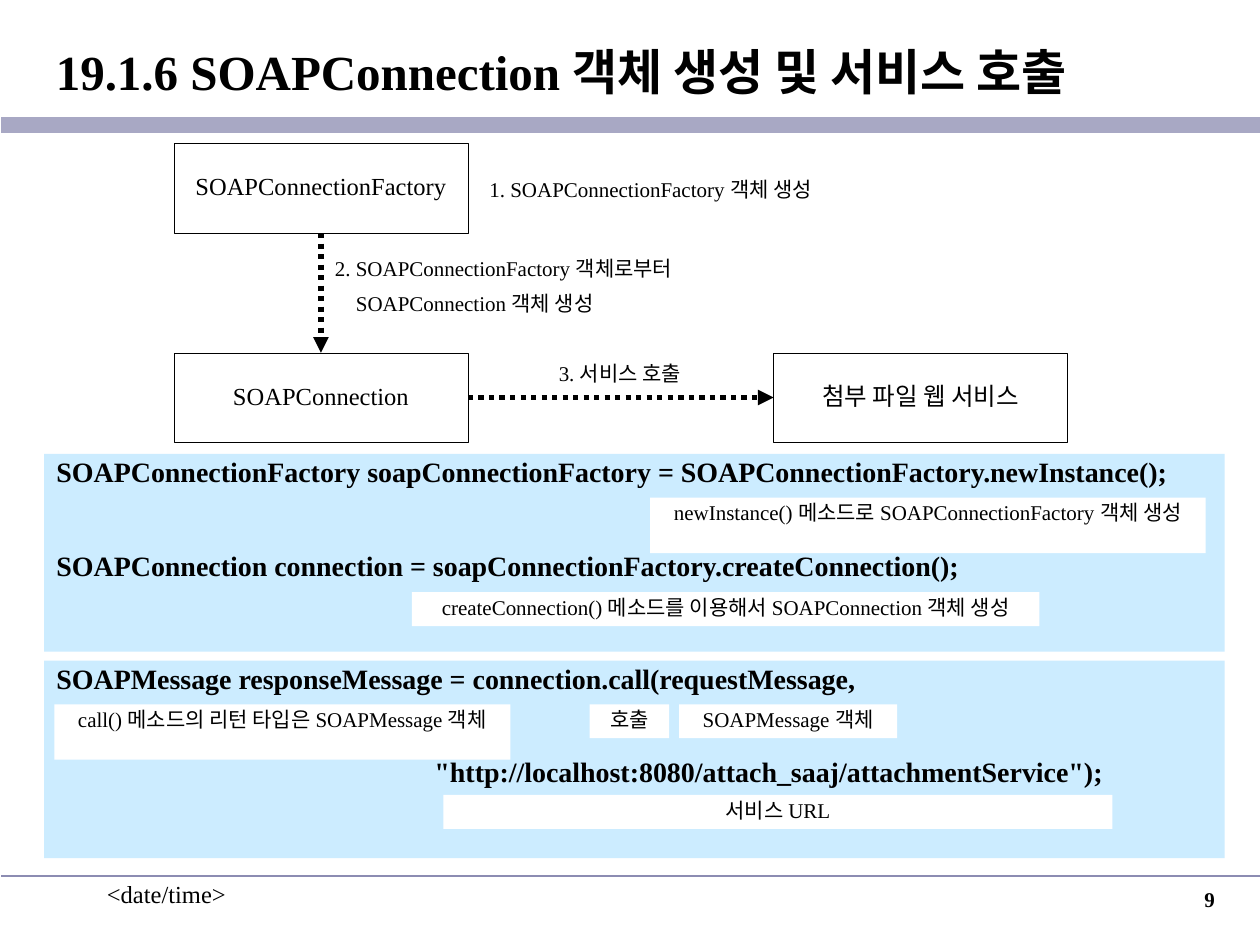
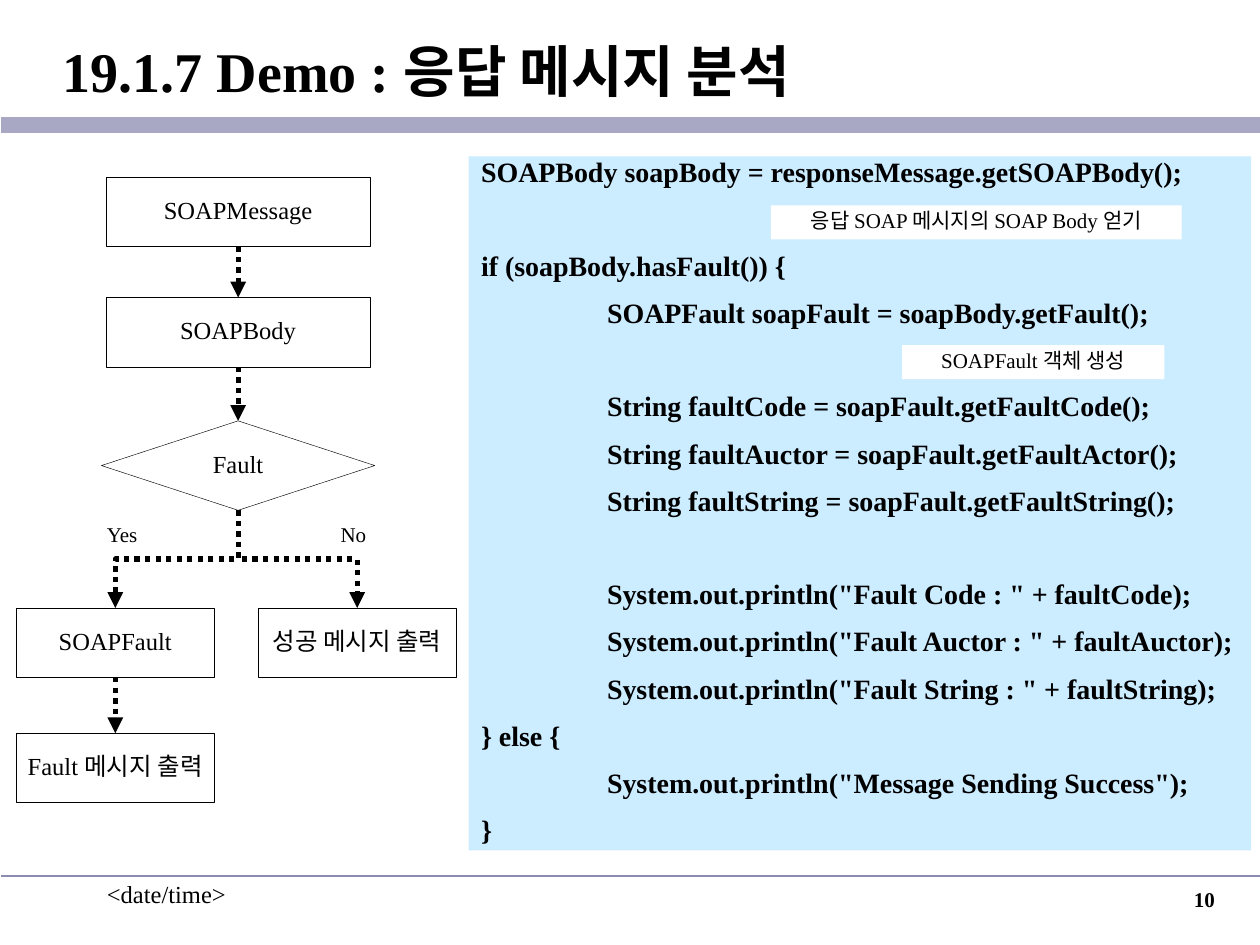
from dataclasses import dataclass

from lxml import etree
from pptx import Presentation
from pptx.dml.color import RGBColor
from pptx.enum.dml import MSO_LINE
from pptx.enum.shapes import MSO_CONNECTOR as Connector, MSO_SHAPE as Preset
from pptx.enum.text import MSO_ANCHOR as Anchor, MSO_AUTO_SIZE as AutoSize, PP_ALIGN as Align
from pptx.oxml.ns import qn
from pptx.util import Pt


@dataclass(frozen=True)
class Theme:
    font: str = "Times New Roman"
    ink: str = "000000"
    paper: str = "FFFFFF"
    panel: str = "CCECFF"
    band: str = "A8A8C4"
    rule: str = "8C8CB2"
    node_size: float = 14
    note_size: float = 12
    code_size: float = 16
    line_spacing: float = 0.85
    note_gap: float = 7.5
    code_gap: float = 10.7
    code_pitch: float = 26.34
    tab: float = 72


THEME = Theme()
SLIDE_WIDTH, SLIDE_HEIGHT = 720, 540
TITLE_BOX = (0.7, 7.9, 719.3, 64.8)
DATE_BOX = (54, 499, 149.8, 36)
NUMBER_BOX = (551.5, 503.3, 149.8, 36)
BAND_Y, FOOTER_Y = 71.3, 500.4
NODE, SMALL_NODE, WIDE_NODE = (168, 51.1), (113, 39.6), (151.2, 39.6)
NOTE_HEIGHT, TALL_NOTE = 19.4, 31.7

# Nodes: name -> (text, left, top, size, preset). Notes: (lines, left, top, width, height).
# Lines: text, or (indent in points, text). None leaves one line free.
SLIDES = [
    dict(
        title="19.1.6 SOAPConnection 객체 생성 및 서비스 호출",
        title_size=28, title_inset=31.2, number=9,
        nodes={
            "factory": ("SOAPConnectionFactory", 99.4, 82.1, NODE, Preset.RECTANGLE),
            "connection": ("SOAPConnection", 99.4, 201.6, NODE, Preset.RECTANGLE),
            "service": ("첨부 파일 웹 서비스", 442.1, 201.6, NODE, Preset.RECTANGLE),
        },
        links=[("factory", "connection"), ("connection", "service")],
        panels=[
            ((25.2, 259.4, 674.6, 113), Anchor.TOP, [
                "SOAPConnectionFactory soapConnectionFactory = SOAPConnectionFactory.newInstance();",
                None,
                "SOAPConnection connection = soapConnectionFactory.createConnection();",
            ]),
            ((25.2, 377.5, 674.6, 113), Anchor.TOP, [
                "SOAPMessage responseMessage = connection.call(requestMessage,",
                None,
                (3 * THEME.tab, '"http://localhost:8080/attach_saaj/attachmentService");'),
            ]),
        ],
        steps=[
            (["1. SOAPConnectionFactory 객체 생성"], 269.3, 99.4, 205.2, NOTE_HEIGHT),
            (["2. SOAPConnectionFactory 객체로부터", (12, "SOAPConnection 객체 생성")],
             184.3, 144.7, 213.1, 39.6),
            (["3. 서비스 호출"], 308.9, 204.5, 90.7, NOTE_HEIGHT),
        ],
        notes=[
            (["newInstance() 메소드로 SOAPConnectionFactory 객체 생성"], 371.5, 284.4, 317.5, TALL_NOTE),
            (["createConnection() 메소드를 이용해서 SOAPConnection 객체 생성"],
             235.4, 338.4, 358.6, NOTE_HEIGHT),
            (["call() 메소드의 리턴 타입은 SOAPMessage 객체"], 31, 402.5, 260.6, TALL_NOTE),
            (["호출"], 337, 402.5, 45.4, NOTE_HEIGHT),
            (["SOAPMessage 객체"], 388.1, 402.5, 124.6, NOTE_HEIGHT),
            (["서비스 URL"], 253.4, 454.3, 382.3, NOTE_HEIGHT),
        ],
    ),
    dict(
        title="19.1.7 Demo : 응답 메시지 분석",
        title_size=32, title_inset=35.2, number=10,
        nodes={
            "message": ("SOAPMessage", 60.5, 101.2, WIDE_NODE, Preset.RECTANGLE),
            "body": ("SOAPBody", 60.5, 170, WIDE_NODE, Preset.RECTANGLE),
            "check": ("Fault", 58, 240.5, (156.2, 51.1), Preset.DIAMOND),
            "fault": ("SOAPFault", 9.4, 347.4, SMALL_NODE, Preset.RECTANGLE),
            "success": ("성공 메시지 출력", 147.6, 347.4, SMALL_NODE, Preset.RECTANGLE),
            "report": ("Fault 메시지 출력", 9.4, 419, SMALL_NODE, Preset.RECTANGLE),
        },
        links=[("message", "body"), ("body", "check"), ("check", "fault"),
               ("check", "success"), ("fault", "report")],
        panels=[
            ((267.8, 89.3, 447.1, 396.7), Anchor.MIDDLE, [
                "SOAPBody soapBody = responseMessage.getSOAPBody();",
                None,
                "if (soapBody.hasFault()) {",
                (THEME.tab, "SOAPFault soapFault = soapBody.getFault();"),
                None,
                (THEME.tab, "String faultCode = soapFault.getFaultCode();"),
                (THEME.tab, "String faultAuctor = soapFault.getFaultActor();"),
                (THEME.tab, "String faultString = soapFault.getFaultString();"),
                None,
                (THEME.tab, 'System.out.println("Fault Code : " + faultCode);'),
                (THEME.tab, 'System.out.println("Fault Auctor : " + faultAuctor);'),
                (THEME.tab, 'System.out.println("Fault String : " + faultString);'),
                "} else {",
                (THEME.tab, 'System.out.println("Message Sending Success");'),
                "}",
            ]),
        ],
        steps=[
            (["Yes"], 53.3, 296.6, 33.1, NOTE_HEIGHT),
            (["No"], 187.2, 296.6, 29.5, NOTE_HEIGHT),
        ],
        notes=[
            (["SOAPFault 객체 생성"], 515.5, 197.3, 149.8, NOTE_HEIGHT),
            (["응답 SOAP 메시지의 SOAP Body 얻기"], 440.6, 117.4, 234.7, NOTE_HEIGHT),
        ],
    ),
]


def color(value):
    return RGBColor.from_string(value)


def points(values):
    return [Pt(value) for value in values]


def write(shape, lines, *, size, bold=False, align=Align.LEFT, anchor=Anchor.TOP,
          spacing=1.0, gap=0, pitch=0, inset=7.2):
    """Fill a shape with lines; each None adds one pitch before the next line."""
    centred = align == Align.CENTER
    frame = shape.text_frame
    frame.auto_size = AutoSize.NONE
    frame.word_wrap = not centred
    frame.vertical_anchor = anchor
    frame.margin_left = Pt(inset)
    frame.margin_right = Pt(0 if align == Align.LEFT else 7.2)
    frame.margin_top = frame.margin_bottom = Pt(3.6)
    paragraph, skipped = frame.paragraphs[0], 0
    for index, line in enumerate(lines):
        if line is None:
            skipped += 1
            continue
        indent, text = line if isinstance(line, tuple) else (0, line)
        if index:
            paragraph = frame.add_paragraph()
        paragraph.alignment = align
        paragraph.line_spacing = spacing
        paragraph.space_before = Pt(gap + skipped * pitch if index else 0)
        skipped = 0
        if indent:
            properties = paragraph._p.get_or_add_pPr()
            properties.set("marL", str(Pt(indent)))
            properties.set("indent", "0")
        run = paragraph.add_run()
        run.text = text
        run.font.name = THEME.font
        run.font.size = Pt(size)
        run.font.bold = bold
        run.font.color.rgb = color(THEME.ink)


def add_box(slide, box, *, preset=Preset.RECTANGLE, fill=None, outline=None):
    shape = slide.shapes.add_shape(preset, *points(box))
    shape.shadow.inherit = False
    if fill:
        shape.fill.solid()
        shape.fill.fore_color.rgb = color(fill)
    else:
        shape.fill.background()
    if outline:
        shape.line.color.rgb = color(outline)
        shape.line.width = Pt(0.25)
    else:
        shape.line.fill.background()
    return shape


def add_line(slide, ends, *, ink, width, kind=Connector.STRAIGHT):
    connector = slide.shapes.add_connector(kind, *ends)
    connector.line.color.rgb = color(ink)
    connector.line.width = Pt(width)
    etree.SubElement(connector.element.spPr, qn("a:effectLst"))
    return connector


def add_link(slide, source, target):
    """Join two nodes sideways, straight down, or by a vertical elbow."""
    start_x, end_x = (node.left + node.width // 2 for node in (source, target))
    start_y, end_y = source.top + source.height, target.top
    kind, rotation = Connector.STRAIGHT, None
    if source.top == target.top:
        middle = source.top + source.height // 2
        ends = (source.left + source.width, middle, target.left, middle)
    elif abs(start_x - end_x) < Pt(1):
        ends = (start_x, start_y, start_x, end_y)
    else:
        kind = Connector.ELBOW
        rightward = end_x > start_x
        rotation = 270 if rightward else 90
        centre_x, centre_y = (start_x + end_x) // 2, (start_y + end_y) // 2
        half_drop, half_spread = (end_y - start_y) // 2, abs(end_x - start_x) // 2
        reach = -half_drop if rightward else half_drop
        ends = (centre_x - reach, centre_y - half_spread,
                centre_x + reach, centre_y + half_spread)
    connector = add_line(slide, ends, ink=THEME.ink, width=3, kind=kind)
    connector.line.dash_style = MSO_LINE.ROUND_DOT
    outline = connector.element.spPr.find(qn("a:ln"))
    etree.SubElement(outline, qn("a:tailEnd"), type="triangle")
    if rotation:
        connector.element.spPr.find(qn("a:xfrm")).set("rot", str(rotation * 60000))


def prepare_layout(layout, slide):
    """Place the title and move the shared band, rule and date to the layout."""
    for placeholder in list(layout.placeholders):
        if placeholder.placeholder_format.idx:
            placeholder.element.getparent().remove(placeholder.element)
        else:
            (placeholder.left, placeholder.top,
             placeholder.width, placeholder.height) = points(TITLE_BOX)
    date = slide.shapes.add_textbox(*points(DATE_BOX))
    write(date, ["<date/time>"], size=THEME.node_size)
    shared = [date]
    for y, ink, width in ((BAND_Y, THEME.band, 9.25), (FOOTER_Y, THEME.rule, 1)):
        ends = points((TITLE_BOX[0], y, SLIDE_WIDTH, y))
        shared.append(add_line(slide, ends, ink=ink, width=width))
    for shape in shared:
        layout.shapes.element.append(shape.element)


def fill_slide(slide, content):
    write(slide.shapes.title, [content["title"]], size=content["title_size"], bold=True,
          anchor=Anchor.MIDDLE, inset=content["title_inset"])
    nodes = {}
    for name, (text, left, top, size, preset) in content["nodes"].items():
        node = add_box(slide, (left, top, *size), preset=preset, outline=THEME.ink)
        write(node, [text], size=THEME.node_size, align=Align.CENTER,
              anchor=Anchor.MIDDLE, spacing=THEME.line_spacing)
        nodes[name] = node
    for source, target in content["links"]:
        add_link(slide, nodes[source], nodes[target])
    for box, anchor, code in content["panels"]:
        write(add_box(slide, box, fill=THEME.panel), code, size=THEME.code_size, bold=True,
              anchor=anchor, spacing=THEME.line_spacing,
              gap=THEME.code_gap, pitch=THEME.code_pitch)
    for lines, *box in content["steps"]:
        write(slide.shapes.add_textbox(*points(box)), lines, size=THEME.note_size,
              align=Align.CENTER if len(lines) == 1 else Align.LEFT,
              spacing=THEME.line_spacing, gap=THEME.note_gap)
    for lines, *box in content["notes"]:
        write(add_box(slide, box, fill=THEME.paper), lines, size=THEME.note_size,
              align=Align.CENTER, spacing=THEME.line_spacing)
    write(slide.shapes.add_textbox(*points(NUMBER_BOX)), [str(content["number"])],
          size=THEME.note_size, bold=True, align=Align.RIGHT)


def main():
    presentation = Presentation()
    presentation.slide_width, presentation.slide_height = Pt(SLIDE_WIDTH), Pt(SLIDE_HEIGHT)
    layout = presentation.slide_layouts[5]
    slides = [presentation.slides.add_slide(layout) for _ in SLIDES]
    prepare_layout(layout, slides[0])
    for slide, content in zip(slides, SLIDES):
        fill_slide(slide, content)
    presentation.save("out.pptx")


if __name__ == "__main__":
    main()
